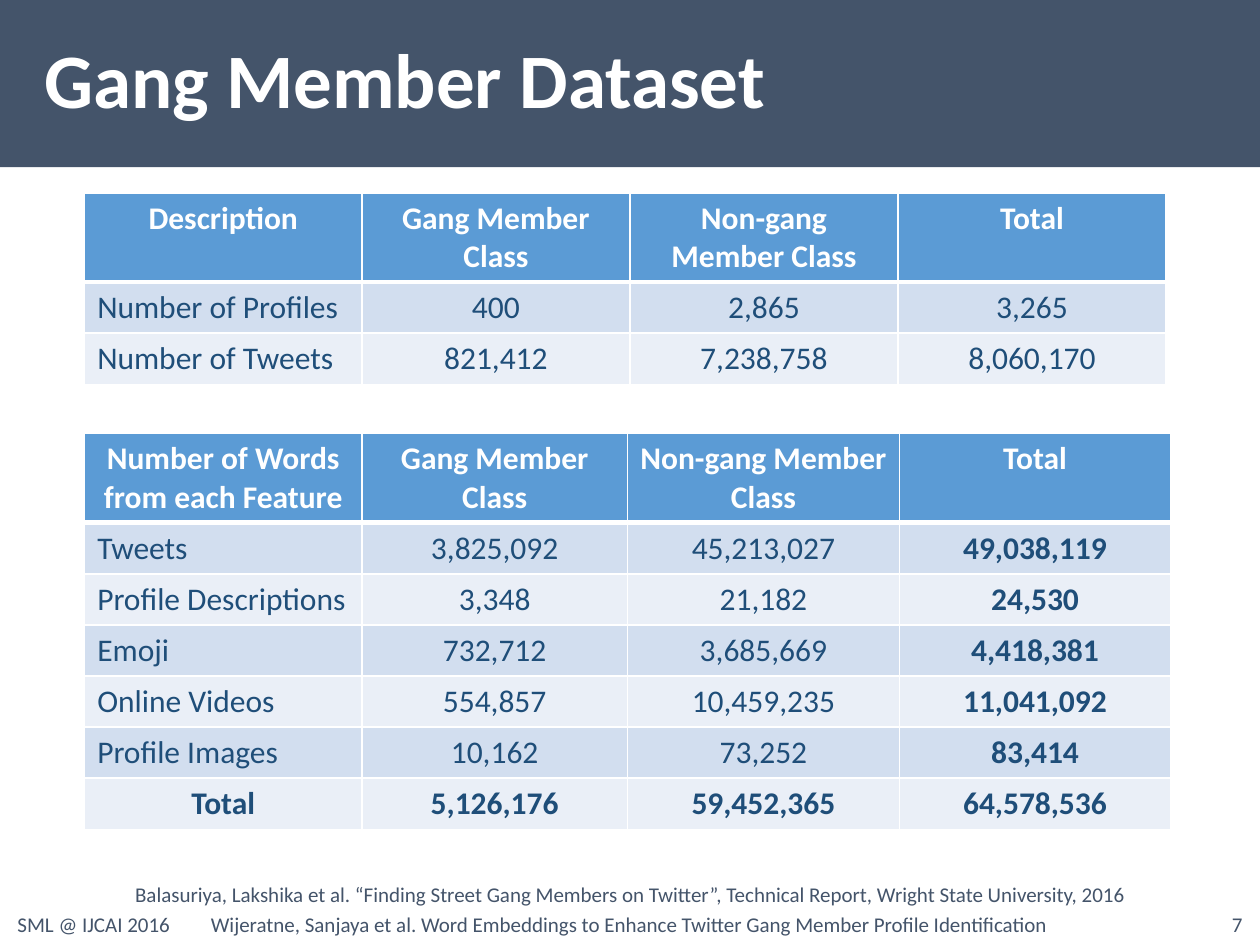
from dataclasses import dataclass

from lxml import etree
from pptx import Presentation
from pptx.dml.color import RGBColor
from pptx.enum.text import MSO_ANCHOR, MSO_AUTO_SIZE, PP_ALIGN
from pptx.oxml.ns import qn
from pptx.util import Pt

LEFT, CENTER, RIGHT = PP_ALIGN.LEFT, PP_ALIGN.CENTER, PP_ALIGN.RIGHT
MIDDLE = MSO_ANCHOR.MIDDLE
NO_AUTOFIT = MSO_AUTO_SIZE.NONE
TITLE_ONLY_LAYOUT = 5


@dataclass(frozen=True)
class Theme:
    font: str = "Calibri"
    title_size: float = 44
    table_size: float = 18
    footer_size: float = 12
    slate: str = "44546A"
    white: str = "FFFFFF"
    header: str = "5B9BD5"
    odd_band: str = "D2DEEF"
    even_band: str = "EAEFF7"
    body_text: str = "1F4E79"
    border: float = 1
    header_border: float = 3


THEME = Theme()

# Content
TITLE = "Gang Member Dataset"

PROFILE_ROWS = [
    ("Description", "Gang Member Class", "Non-gang Member Class", "Total"),
    ("Number of Profiles", "400", "2,865", "3,265"),
    ("Number of Tweets", "821,412", "7,238,758", "8,060,170"),
]
WORD_ROWS = [
    ("Number of Words from each Feature", "Gang Member Class",
     "Non-gang Member Class", "Total"),
    ("Tweets", "3,825,092", "45,213,027", "49,038,119"),
    ("Profile Descriptions", "3,348", "21,182", "24,530"),
    ("Emoji", "732,712", "3,685,669", "4,418,381"),
    ("Online Videos", "554,857", "10,459,235", "11,041,092"),
    ("Profile Images", "10,162", "73,252", "83,414"),
    ("Total", "5,126,176", "59,452,365", "64,578,536"),
]

# Tables: rows, top, column widths, whether totals stand out
TABLES = [
    (PROFILE_ROWS, 110.2, (158.4, 153.2, 153.2, 153.2), False),
    (WORD_ROWS, 247.7, (158.4, 151.8, 155.4, 155), True),
]
TABLE_LEFT = 48.4
HEADER_HEIGHT, ROW_HEIGHT = 51, 29.2

# Footer lines: text, left, top, width, alignment
FOOTER_TOP, FOOTER_HEIGHT = 513.4, 28.8
FOOTERS = [
    ("7", 555.1, FOOTER_TOP, 162, RIGHT),
    ("SML @ IJCAI 2016", 2.9, FOOTER_TOP, 162, LEFT),
    ("Wijeratne, Sanjaya et al. Word Embeddings to Enhance Twitter "
     "Gang Member Profile Identification", -0.7, FOOTER_TOP, 720.7, CENTER),
    ("Balasuriya, Lakshika et al. “Finding Street Gang Members on Twitter”, "
     "Technical Report, Wright State University, 2016", 25.9, 496.4, 668.9, CENTER),
]


def style(paragraph, size, color, alignment=LEFT, bold=False):
    paragraph.alignment = alignment
    font = paragraph.font
    font.name, font.size, font.bold = THEME.font, Pt(size), bold
    font.color.rgb = RGBColor.from_string(color)


def add_title(slide):
    title = slide.shapes.title
    title.left, title.top, title.width, title.height = Pt(0), Pt(0), Pt(720), Pt(95.5)
    title.fill.solid()
    title.fill.fore_color.rgb = RGBColor.from_string(THEME.slate)
    frame = title.text_frame
    frame.text = TITLE
    frame.auto_size = NO_AUTOFIT
    frame.vertical_anchor = MIDDLE
    paragraph = frame.paragraphs[0]
    paragraph.line_spacing = 0.9
    properties = paragraph._p.get_or_add_pPr()
    properties.set("marL", str(Pt(18)))
    properties.set("indent", "0")
    style(paragraph, THEME.title_size, THEME.white, bold=True)


def add_footer(slide, text, left, top, width, alignment):
    box = slide.shapes.add_textbox(Pt(left), Pt(top), Pt(width), Pt(FOOTER_HEIGHT))
    frame = box.text_frame
    frame.word_wrap = True
    frame.vertical_anchor = MIDDLE
    frame.text = text
    style(frame.paragraphs[0], THEME.footer_size, THEME.slate, alignment)


def set_borders(cell, top, bottom):
    """Draw white cell edges; call before the fill, which must follow them."""
    properties = cell._tc.get_or_add_tcPr()
    edges = {"lnL": THEME.border, "lnR": THEME.border, "lnT": top, "lnB": bottom}
    for edge, width in edges.items():
        line = etree.SubElement(properties, qn(f"a:{edge}"), w=str(Pt(width)))
        fill = etree.SubElement(line, qn("a:solidFill"))
        etree.SubElement(fill, qn("a:srgbClr"), val=THEME.white)


def add_data_table(slide, rows, top, widths, strong_totals):
    height = HEADER_HEIGHT + ROW_HEIGHT * (len(rows) - 1)
    table = slide.shapes.add_table(
        len(rows), len(widths), Pt(TABLE_LEFT), Pt(top), Pt(sum(widths)), Pt(height)
    ).table
    for column, width in zip(table.columns, widths):
        column.width = Pt(width)

    for row_index, values in enumerate(rows):
        is_header = row_index == 0
        is_total_row = strong_totals and row_index == len(rows) - 1
        table.rows[row_index].height = Pt(HEADER_HEIGHT if is_header else ROW_HEIGHT)
        band = THEME.odd_band if row_index % 2 else THEME.even_band
        for column_index, value in enumerate(values):
            cell = table.cell(row_index, column_index)
            is_total_column = strong_totals and column_index == len(values) - 1
            set_borders(
                cell,
                top=THEME.header_border if row_index == 1 else THEME.border,
                bottom=THEME.header_border if is_header else THEME.border,
            )
            cell.fill.solid()
            cell.fill.fore_color.rgb = RGBColor.from_string(
                THEME.header if is_header else band)
            cell.text = value
            is_label = column_index == 0 and not is_header and not is_total_row
            style(
                cell.text_frame.paragraphs[0],
                THEME.table_size,
                THEME.white if is_header else THEME.body_text,
                LEFT if is_label else CENTER,
                is_header or is_total_row or is_total_column,
            )


def main():
    presentation = Presentation()
    presentation.slide_width, presentation.slide_height = Pt(720), Pt(540)
    slide = presentation.slides.add_slide(presentation.slide_layouts[TITLE_ONLY_LAYOUT])
    add_title(slide)
    for footer in FOOTERS:
        add_footer(slide, *footer)
    for table in TABLES:
        add_data_table(slide, *table)
    presentation.save("out.pptx")


if __name__ == "__main__":
    main()
